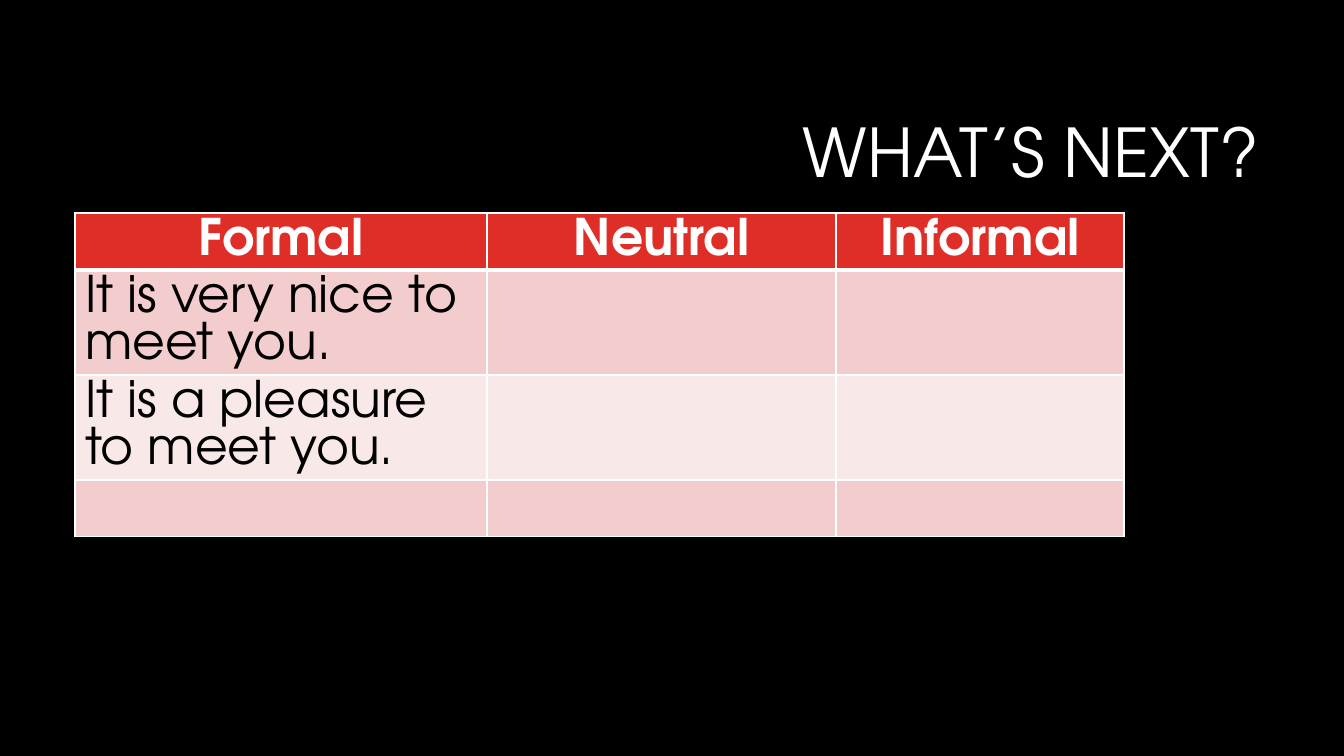
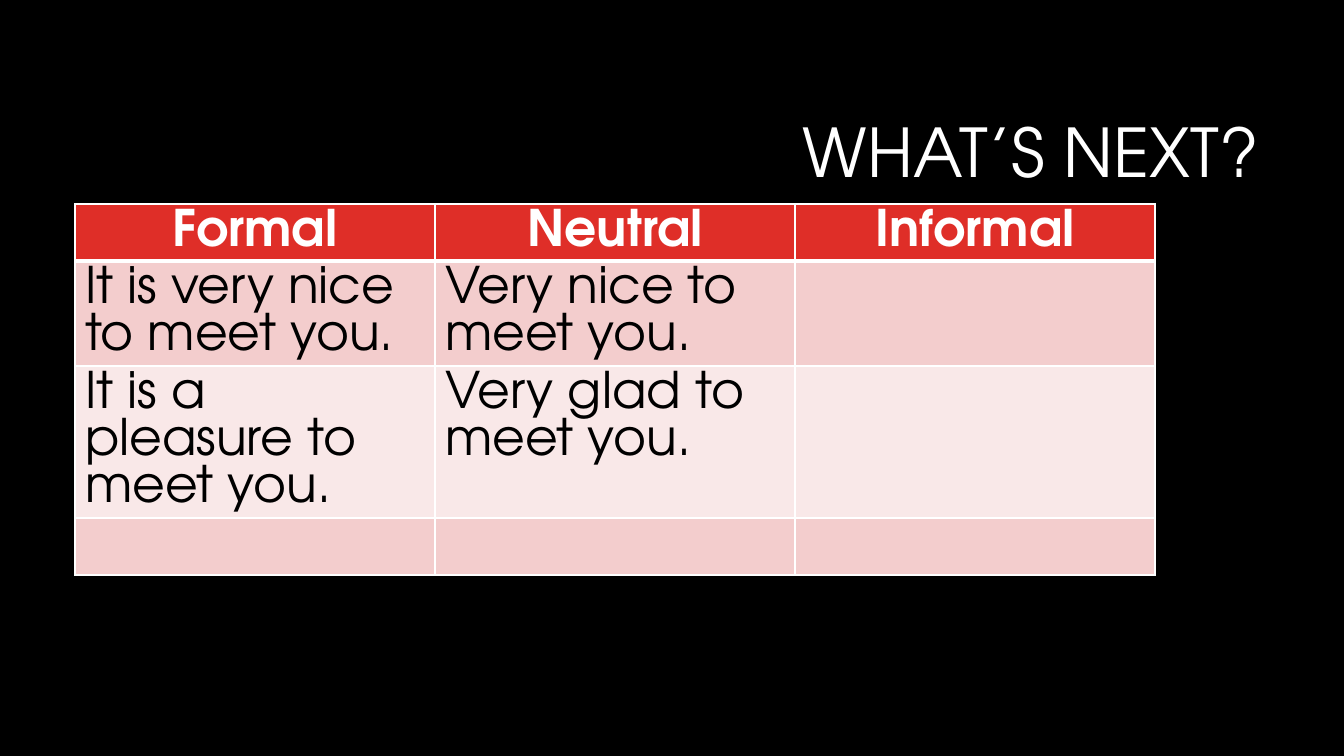
from typing import NamedTuple

from lxml.etree import SubElement
from pptx import Presentation
from pptx.dml.color import RGBColor
from pptx.enum.text import MSO_ANCHOR, MSO_AUTO_SIZE, PP_ALIGN
from pptx.oxml.ns import qn
from pptx.presentation import Presentation as PresentationType
from pptx.slide import Slide
from pptx.table import _Cell
from pptx.text.text import TextFrame
from pptx.util import Emu, Pt

BLACK = RGBColor(0x00, 0x00, 0x00)
WHITE = RGBColor(0xFF, 0xFF, 0xFF)
RED = RGBColor(0xDF, 0x2E, 0x28)
ROSE = RGBColor(0xF3, 0xCD, 0xCD)
PALE_ROSE = RGBColor(0xF9, 0xE8, 0xE8)

FONT = "TeX Gyre Adventor"
TITLE = "WHAT’S NEXT?"
HEADINGS = ("Formal", "Neutral", "Informal")
TITLE_ONLY_LAYOUT = 5
TABLE_LEFT = 75
THIN_BORDER = Pt(1)
THICK_BORDER = Pt(3)


class PhraseTable(NamedTuple):
    top: int
    column_widths: tuple[int, ...]
    row_heights: tuple[int, ...]
    phrases: tuple[tuple[str, ...], ...]


PHRASE_TABLES = (
    PhraseTable(
        top=213,
        column_widths=(412, 349, 288),
        row_heights=(57, 105, 105, 57),
        phrases=(
            ("It is very nice to meet you.", "", ""),
            ("It is a pleasure to meet you.", "", ""),
            ("", "", ""),
        ),
    ),
    PhraseTable(
        top=204,
        column_widths=(360, 360, 360),
        row_heights=(57, 105, 152, 57),
        phrases=(
            ("It is very nice to meet you.", "Very nice to meet you.", ""),
            ("It is a pleasure to meet you.", "Very glad to meet you.", ""),
            ("", "", ""),
        ),
    ),
)


def px(length: int) -> Emu:
    """Turn pixels, 100.8 to the inch, into EMU."""
    return Emu(round(length * 914400 / 100.8))


def format_text(frame: TextFrame, size: int, color: RGBColor,
                alignment: PP_ALIGN, bold: bool = False) -> None:
    for paragraph in frame.paragraphs:
        paragraph.alignment = alignment
        for run in paragraph.runs:
            run.font.name = FONT
            run.font.size = Pt(size)
            run.font.bold = bold
            run.font.color.rgb = color


def add_title(slide: Slide) -> None:
    title = slide.shapes.title
    title.left, title.top = px(320), px(85)
    title.width, title.height = px(949), px(142)
    frame = title.text_frame
    frame.text = TITLE
    frame.word_wrap = True
    frame.auto_size = MSO_AUTO_SIZE.NONE
    frame.vertical_anchor = MSO_ANCHOR.MIDDLE
    frame.paragraphs[0].line_spacing = 0.9
    format_text(frame, 48, WHITE, PP_ALIGN.RIGHT)


def set_borders(cell: _Cell, top: Emu, bottom: Emu) -> None:
    """Draw white borders; call before filling, as the lines come first."""
    properties = cell._tc.get_or_add_tcPr()
    widths = {"a:lnL": THIN_BORDER, "a:lnR": THIN_BORDER,
              "a:lnT": top, "a:lnB": bottom}
    for tag, width in widths.items():
        line = SubElement(properties, qn(tag), w=str(int(width)))
        fill = SubElement(line, qn("a:solidFill"))
        SubElement(fill, qn("a:srgbClr"), val=str(WHITE))


def format_cell(cell: _Cell, row: int) -> None:
    set_borders(cell,
                top=THICK_BORDER if row == 1 else THIN_BORDER,
                bottom=THICK_BORDER if row == 0 else THIN_BORDER)
    cell.fill.solid()
    if row == 0:
        cell.fill.fore_color.rgb = RED
        format_text(cell.text_frame, 36, WHITE, PP_ALIGN.CENTER, bold=True)
    else:
        cell.fill.fore_color.rgb = ROSE if row % 2 else PALE_ROSE
        format_text(cell.text_frame, 36, BLACK, PP_ALIGN.LEFT)


def add_phrase_table(slide: Slide, content: PhraseTable) -> None:
    widths, heights = content.column_widths, content.row_heights
    table = slide.shapes.add_table(
        len(heights), len(widths), px(TABLE_LEFT), px(content.top),
        px(sum(widths)), px(sum(heights))).table
    table.first_row = False
    table.horz_banding = False
    for column, width in zip(table.columns, widths):
        column.width = px(width)
    for row, height in zip(table.rows, heights):
        row.height = px(height)
    for row_index, texts in enumerate((HEADINGS, *content.phrases)):
        for column_index, text in enumerate(texts):
            cell = table.cell(row_index, column_index)
            cell.text_frame.text = text
            format_cell(cell, row_index)


def create_presentation() -> PresentationType:
    presentation = Presentation()
    presentation.slide_width = px(1344)
    presentation.slide_height = px(756)
    background = presentation.slide_master.background.fill
    background.solid()
    background.fore_color.rgb = BLACK
    return presentation


def main() -> None:
    presentation = create_presentation()
    layout = presentation.slide_layouts[TITLE_ONLY_LAYOUT]
    for content in PHRASE_TABLES:
        slide = presentation.slides.add_slide(layout)
        add_title(slide)
        add_phrase_table(slide, content)
    presentation.save("out.pptx")


if __name__ == "__main__":
    main()
